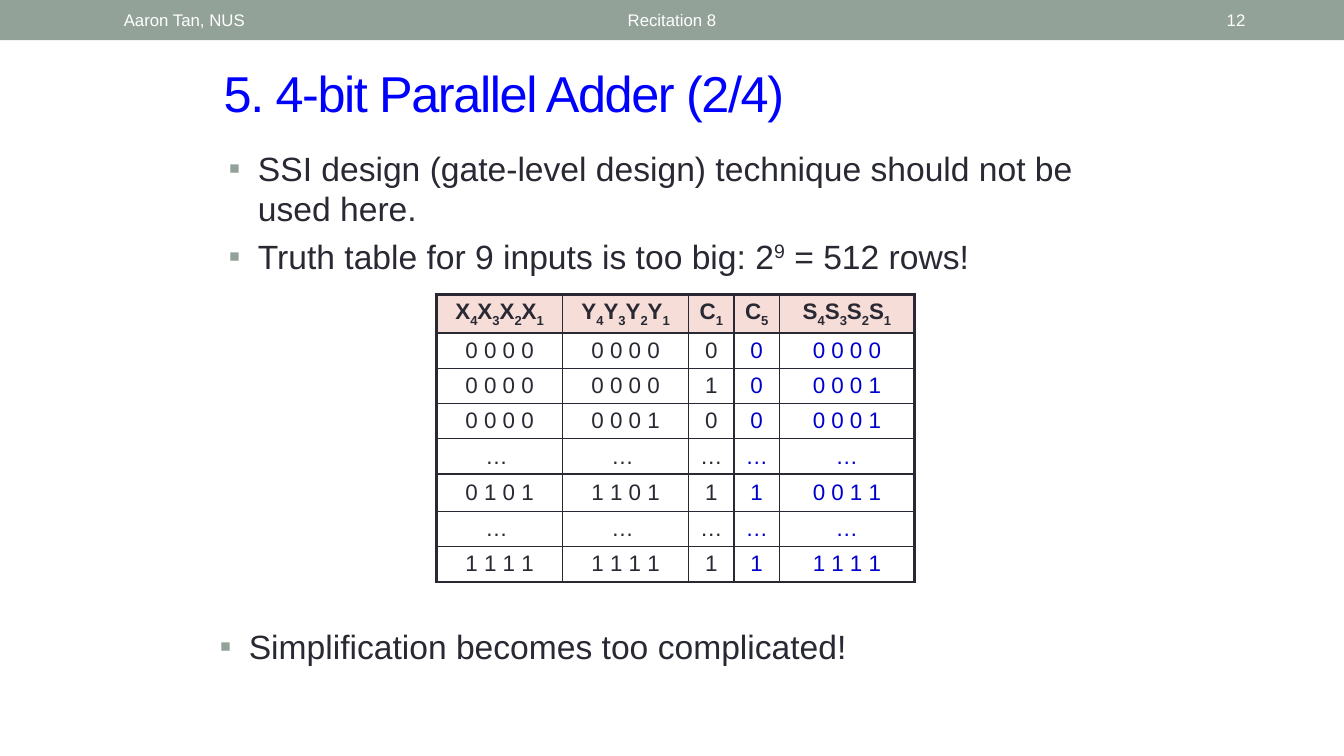
from lxml import etree
from pptx import Presentation
from pptx import util as u
from pptx.dml.color import RGBColor
from pptx.enum import shapes, text
from pptx.oxml.ns import qn

SAGE = RGBColor(0x93, 0xA2, 0x99)
WHITE = RGBColor(0xFF, 0xFF, 0xFF)
INK = RGBColor(0x29, 0x29, 0x34)
TITLE_BLUE = RGBColor(0x00, 0x00, 0xFF)
OUTPUT_BLUE = RGBColor(0x00, 0x00, 0xCC)
PINK = RGBColor(0xF6, 0xDD, 0xD8)
ALIGN = text.PP_ALIGN
MIDDLE = text.MSO_ANCHOR.MIDDLE


def add_run(p, words, size, color, bold=False, baseline=0):
    r = p.add_run()
    r.text = words
    r.font.name = "Arial"
    r.font.size = u.Pt(size)
    r.font.bold = bold
    r.font.color.rgb = color
    if baseline:
        r.font._element.set("baseline", str(baseline * 1000))
    return r


def add_box(left, top, width, height, anchor):
    tf = s.shapes.add_textbox(*map(u.Inches, (left, top, width, height))).text_frame
    tf.word_wrap = True
    tf.vertical_anchor = anchor
    return tf


prs = Presentation()
prs.slide_width = u.Inches(13.33)
prs.slide_height = u.Inches(7.5)
s = prs.slides.add_slide(prs.slide_layouts[6])

band = s.shapes.add_shape(shapes.MSO_SHAPE.RECTANGLE, 0, 0, prs.slide_width, u.Inches(0.4))
band.shadow.inherit = False
band.fill.solid()
band.fill.fore_color.rgb = SAGE
band.line.fill.background()

for left, width, words, align in [
    (1.13, 3.17, "Aaron Tan, NUS", ALIGN.LEFT),
    (3.02, 7.29, "Recitation 8", ALIGN.CENTER),
    (11.5, 0.95, "12", ALIGN.RIGHT),
]:
    p = add_box(left, 0.02, width, 0.36, MIDDLE).paragraphs[0]
    p.alignment = align
    add_run(p, words, 12, WHITE)

p = add_box(2.12, 0.57, 9.21, 0.7, MIDDLE).paragraphs[0]
r = add_run(p, "5. 4-bit Parallel Adder (2/4)", 36, TITLE_BLUE)
r.font._element.set("spc", "-100")

bullet_boxes = [
    (2.17, 1.42, 8.58, 1.43, [
        [("SSI design (gate-level design) technique should not be used here.", 0)],
        [("Truth table for 9 inputs is too big: 2", 0), ("9", 30), (" = 512 rows!", 0)],
    ]),
    (2.08, 6.16, 9, 0.58, [[("Simplification becomes too complicated!", 0)]]),
]
for left, top, width, height, bullets in bullet_boxes:
    tf = add_box(left, top, width, height, text.MSO_ANCHOR.TOP)
    for i, runs in enumerate(bullets):
        p = tf.add_paragraph() if i else tf.paragraphs[0]
        if i:
            p.space_before = u.Pt(4.8)
        pPr = p._p.get_or_add_pPr()
        pPr.set("marL", str(u.Inches(0.29)))
        pPr.set("indent", str(-u.Inches(0.29)))
        color = etree.SubElement(pPr, qn("a:buClr"))
        etree.SubElement(color, qn("a:srgbClr"), val=str(SAGE))
        etree.SubElement(pPr, qn("a:buFont"), typeface="Arial")
        etree.SubElement(pPr, qn("a:buChar"), char="▪")
        for words, baseline in runs:
            add_run(p, words, 24, INK, baseline=baseline)

rows = [
    ("X4X3X2X1", "Y4Y3Y2Y1", "C1", "C5", "S4S3S2S1"),
    ("0 0 0 0", "0 0 0 0", "0", "0", "0 0 0 0"),
    ("0 0 0 0", "0 0 0 0", "1", "0", "0 0 0 1"),
    ("0 0 0 0", "0 0 0 1", "0", "0", "0 0 0 1"),
    ("… ", "… ", "…", "…", "…"),
    ("0 1 0 1", "1 1 0 1", "1", "1", "0 0 1 1"),
    ("… ", "… ", "…", "…", "…"),
    ("1 1 1 1", "1 1 1 1", "1", "1", "1 1 1 1"),
]
col_widths = [1.25, 1.25, 0.45, 0.45, 1.34]
row_heights = [0.37, 0.35, 0.35, 0.35, 0.35, 0.37, 0.35, 0.35]
last_row, last_col = len(rows) - 1, len(col_widths) - 1

table = s.shapes.add_table(
    len(rows), len(col_widths), u.Inches(4.33), u.Inches(2.92),
    u.Inches(sum(col_widths)), u.Inches(sum(row_heights)),
).table
for column, width in zip(table.columns, col_widths):
    column.width = u.Inches(width)
for row, height in zip(table.rows, row_heights):
    row.height = u.Inches(height)

for i, values in enumerate(rows):
    for j, value in enumerate(values):
        cell = table.cell(i, j)
        cell.vertical_anchor = MIDDLE
        cell.margin_top = cell.margin_bottom = u.Inches(0.04)
        cell.margin_left = cell.margin_right = u.Inches(0.05)
        p = cell.text_frame.paragraphs[0]
        p.alignment = ALIGN.CENTER
        if i == 0:
            for char in value:
                add_run(p, char, 16, INK, True, -25 if char.isdigit() else 0)
        else:
            add_run(p, value, 16, OUTPUT_BLUE if j >= 3 else INK)

        tcPr = cell._tc.get_or_add_tcPr()
        for side, outer in [("L", j == 0), ("R", j == last_col), ("T", i == 0), ("B", i == last_row)]:
            ln = etree.SubElement(tcPr, qn("a:ln" + side), w=str(u.Pt(2.25 if outer else 1)))
            fill = etree.SubElement(ln, qn("a:solidFill"))
            etree.SubElement(fill, qn("a:srgbClr"), val=str(INK))
        if i == 0:
            cell.fill.solid()
            cell.fill.fore_color.rgb = PINK
        else:
            cell.fill.background()

prs.save("out.pptx")
